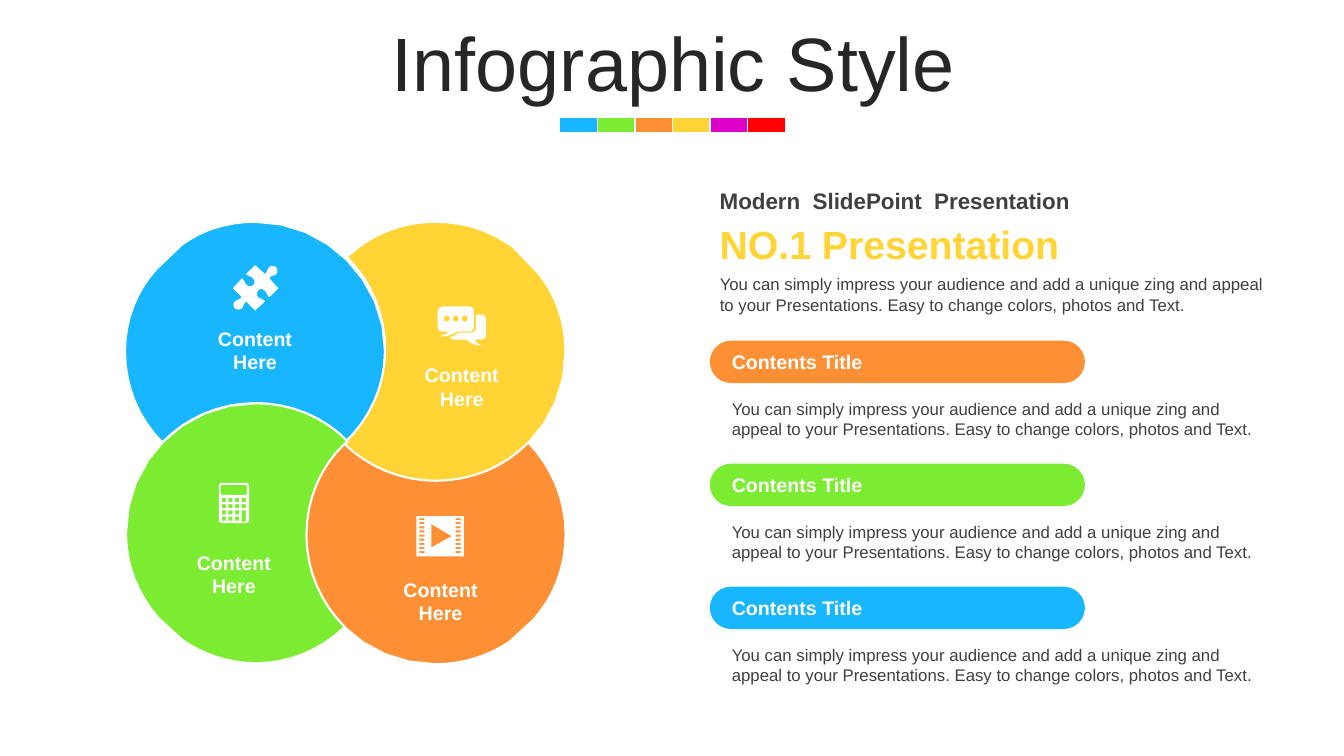
from dataclasses import dataclass

from pptx import Presentation
from pptx.dml.color import RGBColor
from pptx.enum.shapes import MSO_SHAPE
from pptx.enum.text import MSO_ANCHOR, MSO_AUTO_SIZE, PP_ALIGN
from pptx.util import Inches, Pt

BLUE = RGBColor(0x17, 0xB6, 0xFF)
GREEN = RGBColor(0x7C, 0xEC, 0x32)
ORANGE = RGBColor(0xFD, 0x90, 0x34)
YELLOW = RGBColor(0xFF, 0xD4, 0x34)
PINK = RGBColor(0xDC, 0x00, 0xC8)
RED = RGBColor(0xFF, 0x00, 0x00)
WHITE = RGBColor(0xFF, 0xFF, 0xFF)
DARK = RGBColor(0x26, 0x26, 0x26)
GRAY = RGBColor(0x40, 0x40, 0x40)

BODY = ("You can simply impress your audience and add a unique zing and appeal "
        "to your Presentations. Easy to change colors, photos and Text.")

Edge = list[tuple[float, ...]]


@dataclass
class Petal:
    color: RGBColor
    edge: Edge
    left: float
    top: float
    width: float = 1.52


@dataclass
class Label:
    text: str
    left: float
    top: float
    width: float
    height: float
    size: int
    color: RGBColor
    bold: bool = False
    mid: bool = False


PETALS = [
    Petal(BLUE, [
        (2.53, 2.2), (3.24, 2.2, 3.82, 2.78, 3.82, 3.49),
        (3.82, 3.84, 3.68, 4.16, 3.45, 4.39), (3.22, 4.15, 2.89, 4, 2.53, 4),
        (2.17, 4, 1.84, 4.15, 1.61, 4.39), (1.38, 4.16, 1.24, 3.84, 1.24, 3.49),
        (1.24, 3.17, 1.35, 2.89, 1.55, 2.67), (1.8, 2.43),
        (2, 2.28, 2.26, 2.2, 2.53, 2.2)], 1.73, 3.19, 1.6),
    Petal(YELLOW, [
        (4.32, 2.2), (4.61, 2.2, 4.87, 2.29, 5.09, 2.45), (5.34, 2.71),
        (5.51, 2.92, 5.61, 3.19, 5.61, 3.49), (5.61, 4.2, 5.04, 4.78, 4.32, 4.78),
        (3.97, 4.78, 3.65, 4.64, 3.41, 4.4), (3.66, 4.17, 3.82, 3.84, 3.82, 3.47),
        (3.82, 3.11, 3.68, 2.79, 3.44, 2.55),
        (3.67, 2.33, 3.98, 2.2, 4.32, 2.2)], 3.82, 3.55),
    Petal(ORANGE, [
        (5.24, 4.39), (5.47, 4.63, 5.61, 4.95, 5.61, 5.3),
        (5.61, 5.63, 5.49, 5.93, 5.29, 6.15), (5.05, 6.37),
        (4.84, 6.51, 4.59, 6.59, 4.32, 6.59), (3.61, 6.59, 3.03, 6.02, 3.03, 5.3),
        (3.03, 4.95, 3.18, 4.63, 3.41, 4.4), (3.65, 4.63, 3.97, 4.77, 4.32, 4.77),
        (4.68, 4.77, 5.01, 4.63, 5.24, 4.39)], 3.61, 5.68),
    Petal(GREEN, [
        (2.54, 4), (2.89, 4, 3.22, 4.14, 3.45, 4.38), (3.42, 4.4),
        (3.18, 4.63, 3.04, 4.95, 3.04, 5.31), (3.04, 5.67, 3.19, 5.99, 3.42, 6.22),
        (3.19, 6.44, 2.88, 6.58, 2.54, 6.58), (2.27, 6.58, 2.01, 6.49, 1.81, 6.35),
        (1.57, 6.13), (1.37, 5.9, 1.25, 5.61, 1.25, 5.29),
        (1.25, 4.57, 1.82, 4, 2.54, 4)], 1.56, 5.41),
]

PUZZLE: Edge = [
    (2.74, 2.65), (2.75, 2.67, 2.76, 2.7, 2.74, 2.72),
    (2.72, 2.74, 2.69, 2.73, 2.67, 2.76), (2.76, 2.86), (2.67, 2.95),
    (2.64, 2.92, 2.65, 2.9, 2.62, 2.88), (2.6, 2.86, 2.58, 2.86, 2.56, 2.88),
    (2.55, 2.89, 2.54, 2.93, 2.56, 2.95), (2.59, 2.97, 2.6, 2.96, 2.63, 2.99),
    (2.53, 3.08), (2.44, 2.99), (2.41, 3.02, 2.42, 3.03, 2.4, 3.06),
    (2.38, 3.08, 2.34, 3.07, 2.33, 3.06), (2.31, 3.04, 2.31, 3.01, 2.33, 2.99),
    (2.35, 2.97, 2.37, 2.98, 2.4, 2.95), (2.31, 2.86), (2.4, 2.76),
    (2.43, 2.78, 2.42, 2.81, 2.45, 2.83), (2.47, 2.85, 2.5, 2.84, 2.51, 2.83),
    (2.53, 2.82, 2.53, 2.78, 2.51, 2.76), (2.48, 2.73, 2.47, 2.75, 2.44, 2.72),
    (2.53, 2.63), (2.63, 2.72), (2.66, 2.69, 2.64, 2.68, 2.67, 2.65),
    (2.69, 2.63, 2.72, 2.64, 2.74, 2.65)]

FRONT: Edge = [
    (4.39, 3.04), (4.66, 3.04), (4.68, 3.04, 4.7, 3.06, 4.7, 3.09), (4.7, 3.24),
    (4.7, 3.27, 4.68, 3.29, 4.66, 3.29), (4.53, 3.29),
    (4.48, 3.33, 4.46, 3.33, 4.36, 3.34), (4.42, 3.31, 4.42, 3.32, 4.45, 3.29),
    (4.39, 3.29), (4.36, 3.29, 4.34, 3.27, 4.34, 3.24), (4.34, 3.09),
    (4.34, 3.06, 4.36, 3.04, 4.39, 3.04)]

BACK: Edge = [
    (4.72, 3.12), (4.77, 3.12), (4.8, 3.12, 4.82, 3.14, 4.82, 3.17), (4.82, 3.33),
    (4.82, 3.35, 4.8, 3.37, 4.77, 3.37), (4.71, 3.37),
    (4.72, 3.39, 4.72, 3.4, 4.78, 3.43), (4.69, 3.42, 4.67, 3.41, 4.63, 3.37),
    (4.51, 3.37), (4.49, 3.37, 4.47, 3.36, 4.46, 3.35),
    (4.49, 3.34, 4.52, 3.32, 4.55, 3.3), (4.67, 3.3),
    (4.7, 3.3, 4.72, 3.28, 4.72, 3.25)]


def style(item, **values) -> None:
    for name, value in values.items():
        setattr(item, name, value)


def box(x: float, y: float, w: float, h: float, r: float = 0) -> Edge:
    e, b, c = x + w, y + h, r * 0.45
    if not r:
        return [(x, y), (e, y), (e, b), (x, b)]
    return [(x + r, y), (e - r, y), (e - c, y, e, y + c, e, y + r),
            (e, b - r), (e, b - c, e - c, b, e - r, b),
            (x + r, b), (x + c, b, x, b - c, x, b - r),
            (x, y + r), (x, y + c, x + c, y, x + r, y)]


def trace(edge: Edge, steps: int) -> list[tuple[int, int]]:
    spots = [edge[0]]
    for part in edge[1:]:
        if len(part) == 2:
            spots.append(part)
            continue
        (ax, ay), (bx, by, cx, cy, dx, dy) = spots[-1], part
        for i in range(1, steps + 1):
            t = i / steps
            u = 1 - t
            f = (u ** 3, 3 * u * u * t, 3 * u * t * t, t ** 3)
            spots.append((sum(k * v for k, v in zip(f, (ax, bx, cx, dx))),
                          sum(k * v for k, v in zip(f, (ay, by, cy, dy)))))
    return [(Inches(x), Inches(y)) for x, y in spots]


def paint(shape, color: RGBColor, line: float = 0) -> None:
    shape.shadow.inherit = False
    shape.fill.solid()
    shape.fill.fore_color.rgb = color
    if line:
        shape.line.color.rgb = WHITE
        shape.line.width = Pt(line)
    else:
        shape.line.fill.background()


def draw(shapes, edges: list[Edge], color: RGBColor, steps: int, line: float = 0) -> None:
    first, *rest = [trace(edge, steps) for edge in edges]
    pen = shapes.build_freeform(*first[0], scale=1.0)
    pen.add_line_segments(first[1:], close=True)
    for spots in rest:
        pen.move_to(*spots[0])
        pen.add_line_segments(spots[1:], close=True)
    paint(pen.convert_to_shape(), color, line)


def write(shapes, label: Label) -> None:
    frame = shapes.add_textbox(*map(Inches, (label.left, label.top, label.width,
                                             label.height))).text_frame
    frame.text = label.text
    style(frame, word_wrap=True, auto_size=MSO_AUTO_SIZE.SHAPE_TO_FIT_TEXT,
          vertical_anchor=MSO_ANCHOR.MIDDLE if label.mid else MSO_ANCHOR.TOP)
    for para in frame.paragraphs:
        para.alignment = PP_ALIGN.CENTER if label.mid else PP_ALIGN.LEFT
        style(para.font, name="Arial", size=Pt(label.size), bold=label.bold)
        para.font.color.rgb = label.color


def head(slide) -> None:
    title = slide.shapes.title
    style(title, left=Inches(0.35), top=Inches(0.24),
          width=Inches(12.66), height=Inches(0.79))
    frame = title.text_frame
    frame.text = "Infographic Style"
    style(frame, word_wrap=True, auto_size=MSO_AUTO_SIZE.NONE,
          vertical_anchor=MSO_ANCHOR.MIDDLE, margin_left=Inches(0.1),
          margin_right=Inches(0.1), margin_top=Inches(0.1), margin_bottom=Inches(0.05))
    para = frame.paragraphs[0]
    style(para, alignment=PP_ALIGN.CENTER, line_spacing=0.9)
    style(para.font, name="Arial", size=Pt(54))
    para.font.color.rgb = DARK
    for i, color in enumerate((BLUE, GREEN, ORANGE, YELLOW, PINK, RED)):
        tile = slide.shapes.add_shape(MSO_SHAPE.RECTANGLE, Inches(5.55 + i * 2.24 / 6),
                                      Inches(1.16), Inches(0.38), Inches(0.16))
        paint(tile, color, 1)


def main() -> None:
    deck = Presentation()
    style(deck, slide_width=Inches(13.33), slide_height=Inches(7.5))
    slide = deck.slides.add_slide(deck.slide_layouts[5])
    shapes = slide.shapes
    head(slide)

    for i, color in enumerate((ORANGE, GREEN, BLUE)):
        top = 3.38 + i * 1.22
        pill = shapes.add_shape(MSO_SHAPE.ROUNDED_RECTANGLE, Inches(7.04), Inches(top),
                                Inches(3.72), Inches(0.42))
        pill.adjustments[0] = 0.5
        paint(pill, color)
        write(shapes, Label(BODY, 7.16, top + 0.53, 5.5, 0.5, 12, GRAY))
        write(shapes, Label("Contents Title", 7.16, top + 0.04, 3.15, 0.34, 14, WHITE, True))

    write(shapes, Label("NO.1 Presentation", 7.04, 2.14, 5.57, 0.57, 28, YELLOW, True))
    write(shapes, Label("Modern  SlidePoint  Presentation", 7.04, 1.81, 5.57, 0.37,
                        16, GRAY, True))
    write(shapes, Label(BODY, 7.04, 2.67, 5.61, 0.5, 12, GRAY))

    for petal in PETALS:
        draw(shapes, [petal.edge], petal.color, 8, 1.5)
    for petal in PETALS:
        write(shapes, Label("Content\nHere", petal.left, petal.top, petal.width, 0.57,
                            14, WHITE, True, True))

    keys = [box(2.2 + c * 0.066, 4.94 + r * 0.062, 0.04,
                0.11 if (c, r) == (3, 2) else 0.04)
            for r in range(4) for c in range(4) if (c, r) != (3, 3)]
    dots = [box(x, 3.13, 0.06, 0.06, 0.03) for x in (4.4, 4.49, 4.58)]
    slots = [box(x, 5.14 + i * 0.041, 0.05, 0.02) for i in range(9) for x in (4.16, 4.52)]
    play = [(4.28, 5.2), (4.28, 5.43), (4.48, 5.32)]
    for icon in ([box(2.17, 4.79, 0.3, 0.4, 0.03), box(2.19, 4.81, 0.26, 0.1, 0.02), *keys],
                 [PUZZLE],
                 [FRONT, BACK, *dots],
                 [box(4.13, 5.12, 0.47, 0.4), play, *slots]):
        draw(shapes, icon, WHITE, 3)

    deck.save("out.pptx")


if __name__ == "__main__":
    main()
